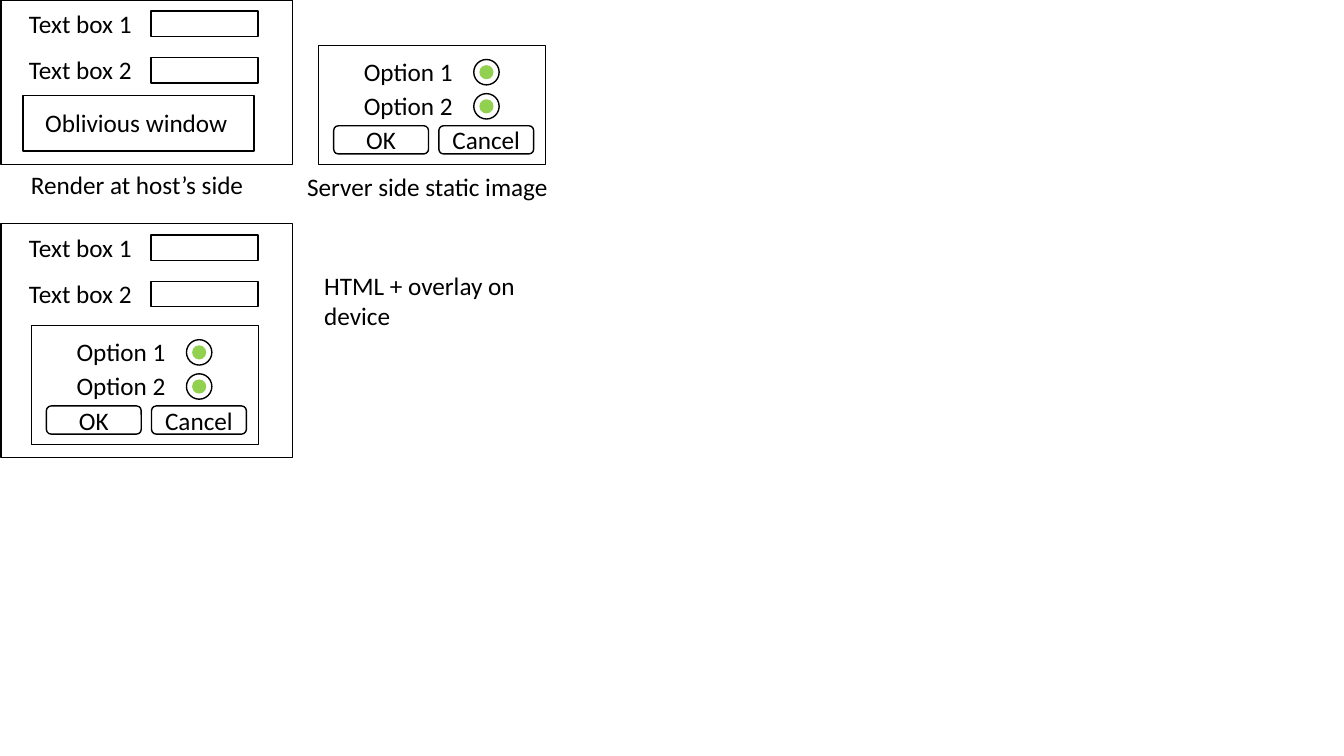
from pptx import Presentation
from pptx.dml.color import RGBColor
from pptx.enum.shapes import MSO_SHAPE
from pptx.enum.text import MSO_ANCHOR, MSO_AUTO_SIZE, PP_ALIGN
from pptx.util import Cm, Pt

RECT, ROUND, OVAL = MSO_SHAPE.RECTANGLE, MSO_SHAPE.ROUNDED_RECTANGLE, MSO_SHAPE.OVAL
MIDDLE, CENTER, FIT = MSO_ANCHOR.MIDDLE, PP_ALIGN.CENTER, MSO_AUTO_SIZE.SHAPE_TO_FIT_TEXT

FIELDS = ["Text box 1", "Text box 2"]
OPTIONS = ["Option 1", "Option 2"]
BUTTONS = ["OK", "Cancel"]
OBLIVIOUS = "Oblivious window"
CAPTIONS = [
    ("Render at host’s side", 0.53, 4.14, 5.92, 1.02, False),
    ("Server side static image", 7.49, 4.19, 6.63, 1.02, True),
    ("HTML + overlay on device", 7.92, 6.68, 5.51, 1.8, True),
]
HOST_WINDOW = (0.03, 0, 4.14)
DEVICE_WINDOW = (0.03, 5.64, 5.89)
SERVER_DIALOG = (8.03, 1.14)
DEVICE_DIALOG = (0.79, 8.2)

COLORS = {"paper": "FFFFFF", "ink": "000000", "dot": "92D050"}
FONT, SIZE = "Calibri", Pt(18)
LABEL_H = 1.02
FIELD_PITCH, OPTION_PITCH, BUTTON_PITCH = 1.17, 0.86, 2.65
RADIO, DOT = 0.64, 0.32


def color(name):
    return RGBColor.from_string(COLORS[name])


def write(tf, text):
    tf.text = text
    for r in tf.paragraphs[0].runs:
        r.font.name, r.font.size = FONT, SIZE
        r.font.color.rgb = color("ink")


def add_label(s, text, x, y, w, h=LABEL_H, wrap=False):
    tf = s.shapes.add_textbox(Cm(x), Cm(y), Cm(w), Cm(h)).text_frame
    tf.word_wrap = wrap
    tf.auto_size = FIT
    write(tf, text)


def add_box(s, kind, x, y, w, h, fill="paper", line="ink", text=""):
    sp = s.shapes.add_shape(kind, Cm(x), Cm(y), Cm(w), Cm(h))
    sp.shadow.inherit = False
    sp.fill.solid()
    sp.fill.fore_color.rgb = color(fill)
    sp.line.color.rgb = color(line)
    sp.line.width = Pt(1)
    if text:
        tf = sp.text_frame
        write(tf, text)
        tf.vertical_anchor = MIDDLE
        tf.paragraphs[0].alignment = CENTER


def add_window(s, x, y, h):
    add_box(s, RECT, x, y, 7.34, h)
    for i, text in enumerate(FIELDS):
        row = y + i * FIELD_PITCH
        add_label(s, text, x + 0.45, row + 0.08, 3.12)
        add_box(s, RECT, x + 3.78, row + 0.28, 2.69, 0.64)


def add_dialog(s, x, y):
    add_box(s, RECT, x, y, 5.72, 3)
    inset = (RADIO - DOT) / 2
    for i, text in enumerate(OPTIONS):
        row = y + i * OPTION_PITCH
        rx, ry = x + 3.91, row + 0.36
        add_label(s, text, x + 0.89, row + 0.15, 2.77)
        add_box(s, OVAL, rx, ry, RADIO, RADIO)
        add_box(s, OVAL, rx + inset, ry + inset, DOT, DOT, "dot", "dot")
    for i, text in enumerate(BUTTONS):
        add_box(s, ROUND, x + 0.38 + i * BUTTON_PITCH, y + 2.03, 2.39, 0.71, text=text)


def main():
    prs = Presentation()
    prs.slide_width, prs.slide_height = Cm(33.87), Cm(19.05)
    s = prs.slides.add_slide(prs.slide_layouts[6])
    add_window(s, *HOST_WINDOW)
    add_box(s, RECT, 0.58, 2.41, 5.82, 1.4)
    add_label(s, OBLIVIOUS, 0.89, 2.59, 5.21)
    add_dialog(s, *SERVER_DIALOG)
    add_window(s, *DEVICE_WINDOW)
    add_dialog(s, *DEVICE_DIALOG)
    for caption in CAPTIONS:
        add_label(s, *caption)
    prs.save("out.pptx")


if __name__ == "__main__":
    main()
